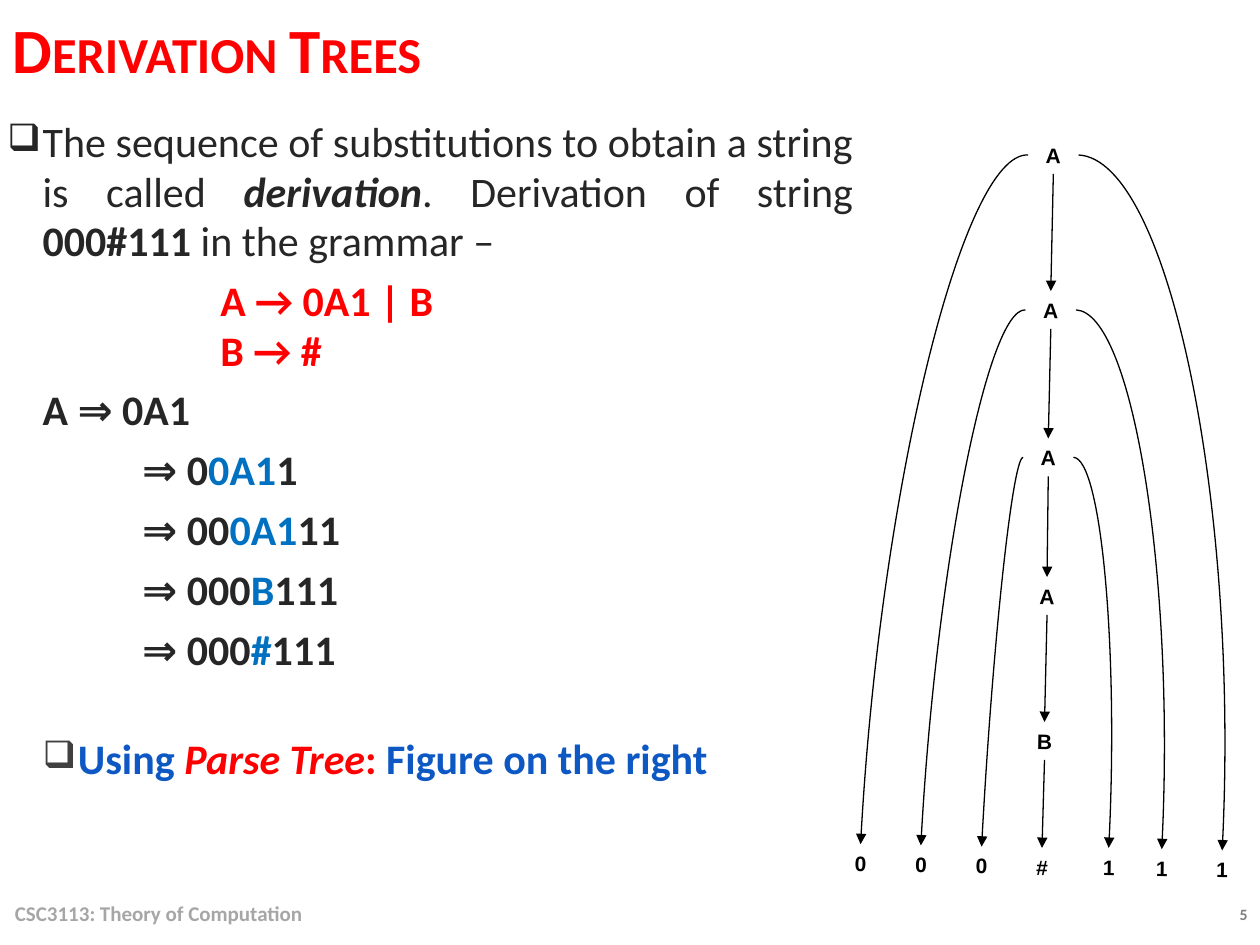
from dataclasses import dataclass
from math import cos, radians, sin

from lxml import etree
from pptx import Presentation
from pptx.dml.color import RGBColor
from pptx.enum.shapes import MSO_CONNECTOR
from pptx.enum.text import MSO_ANCHOR, PP_ALIGN
from pptx.oxml.ns import qn
from pptx.util import Emu, Inches, Pt

LEFT, RIGHT, CENTER, JUSTIFY = (
    PP_ALIGN.LEFT, PP_ALIGN.RIGHT, PP_ALIGN.CENTER, PP_ALIGN.JUSTIFY)
TOP, MIDDLE = MSO_ANCHOR.TOP, MSO_ANCHOR.MIDDLE
STRAIGHT, CURVE = MSO_CONNECTOR.STRAIGHT, MSO_CONNECTOR.CURVE


@dataclass(frozen=True)
class Theme:
    sans: str = "Calibri"
    label: str = "Arial"
    title: float = 36
    body: float = 24
    small: float = 12
    page: float = 9
    ink: str = "262626"
    red: str = "FF0000"
    blue: str = "0070C0"
    royal: str = "0E58C4"
    black: str = "000000"
    grey: str = "A6A6A6"
    dim: str = "808080"
    mark: str = "404040"


@dataclass(frozen=True)
class Span:
    text: str
    color: str = Theme.ink
    bold: bool = True
    italic: bool = False


@dataclass(frozen=True)
class Para:
    spans: tuple[Span, ...]
    indent: float = 0
    before: float = 6
    align: PP_ALIGN = JUSTIFY
    bullet: str = ""


@dataclass(frozen=True)
class Node:
    """A tree label; col and row give its top left corner."""
    text: str
    col: float
    row: float


T = Theme()
COLS, ROWS = 100, 75
NODE_W, NODE_H = 4, 3
HANG = 2.8
TILT, LEAN = 1, 3  # degrees: labels, branches

prs = Presentation()
prs.slide_width, prs.slide_height = Inches(10), Inches(7.5)
slide = prs.slides.add_slide(prs.slide_layouts[6])
shapes = slide.shapes


def across(cols: float) -> Emu:
    return Emu(round(prs.slide_width * cols / COLS))


def down(rows: float) -> Emu:
    return Emu(round(prs.slide_height * rows / ROWS))


def style(run, font: str, size: float, color: str, bold=True, italic=False):
    run.font.name, run.font.size = font, Pt(size)
    run.font.bold, run.font.italic = bold, italic
    run.font.color.rgb = RGBColor.from_string(color)


def box(col: float, row: float, wide: float, high: float, anchor=TOP):
    shape = shapes.add_textbox(across(col), down(row), across(wide), down(high))
    shape.text_frame.word_wrap = True
    shape.text_frame.vertical_anchor = anchor
    return shape


def line(shape, text: str, font: str, size: float, color: str, align=LEFT):
    """Fill a box with one bold line and return its run."""
    para = shape.text_frame.paragraphs[0]
    para.text, para.alignment = text, align
    style(para.runs[0], font, size, color)
    return para.runs[0]


def fill(para, data: Para) -> None:
    para.alignment = data.align
    para.space_before, para.line_spacing = Pt(data.before), 0.98
    props = para._p.get_or_add_pPr()
    props.set("marL", str(across(data.indent)))
    props.set("indent", str(across(-HANG if data.bullet else 0)))
    if data.bullet:
        tint = etree.SubElement(props, qn("a:buClr"))
        etree.SubElement(tint, qn("a:srgbClr"), val=data.bullet)
        etree.SubElement(props, qn("a:buSzPct"), val="90000")
        etree.SubElement(props, qn("a:buChar"), char="❑")
    else:
        etree.SubElement(props, qn("a:buNone"))
    for span in data.spans:
        if span.text == "\v":
            para.add_line_break()
            continue
        run = para.add_run()
        run.text = span.text
        style(run, T.sans, T.body, span.color, span.bold, span.italic)


def label(node: Node):
    shape = box(node.col, node.row, NODE_W, NODE_H, MIDDLE)
    line(shape, node.text, T.label, T.small, T.black, CENTER)
    shape.rotation = TILT
    return shape


def arrow(kind, x1: int, y1: int, x2: int, y2: int):
    link = shapes.add_connector(kind, x1, y1, x2, y2)
    link.line.width = Pt(0.75)
    link.line.color.rgb = RGBColor.from_string(T.black)
    etree.SubElement(link.line._get_or_add_ln(), qn("a:tailEnd"), type="triangle")
    etree.SubElement(link.element.spPr, qn("a:effectLst"))
    return link


def stem(upper, lower) -> None:
    link = arrow(STRAIGHT, 0, 0, 0, 0)
    link.begin_connect(upper, 2)
    link.end_connect(lower, 0)


def branch(top: Node, leaf: Node) -> None:
    """Bend from the side of a node to a leaf, as a box turned by LEAN."""
    side = NODE_W if leaf.col > top.col else 0
    x1, y1 = across(top.col + side), down(top.row + NODE_H / 2)
    x2, y2 = across(leaf.col + NODE_W / 2), down(leaf.row)
    turn = radians(LEAN)
    dx, dy = x2 - x1, y2 - y1
    half_w = (dx * cos(turn) + dy * sin(turn)) / 2
    half_h = (dy * cos(turn) - dx * sin(turn)) / 2
    mid_x, mid_y = (x1 + x2) / 2, (y1 + y2) / 2
    link = arrow(CURVE, round(mid_x - half_w), round(mid_y - half_h),
                 round(mid_x + half_w), round(mid_y + half_h))
    props = link.element.spPr
    props.find(qn("a:xfrm")).set("rot", str(LEAN * 60000))
    props.find(qn("a:prstGeom")).set("prst", "curvedConnector2")


def step(left: str, core: str, right: str) -> Para:
    return Para((Span("⇒ " + left), Span(core, T.blue), Span(right)), 10.7)


BODY = (
    Para((Span("The sequence of substitutions to obtain a string is called ", bold=False),
          Span("derivation", italic=True),
          Span(". Derivation of string ", bold=False),
          Span("000#111"),
          Span(" in the grammar –", bold=False)), HANG, bullet=T.ink),
    Para((Span("A → 0A1 | B", T.red), Span("\v"), Span("B → #", T.red)),
         16.9, align=LEFT),
    Para((Span("A ⇒ 0A1"),), HANG),
    step("0", "0A1", "1"),
    step("00", "0A1", "11"),
    step("000", "B", "111"),
    step("000", "#", "111"),
    Para((Span("Using ", T.royal), Span("Parse Tree", T.red, italic=True),
          Span(": ", T.red), Span("Figure on the right", T.royal)),
         2 * HANG, before=34, bullet=T.mark),
)
TRUNK = (Node("A", 81.6, 10.8), Node("A", 81.4, 23.1), Node("A", 81.2, 34.8),
         Node("A", 81.1, 45.8), Node("B", 80.9, 57.3), Node("#", 80.7, 67.3))
ZEROS = [Node("0", 66.3 + 4.8 * i, 67 + 0.1 * i) for i in range(3)]
ONES = [Node("1", col, 67.5 - 0.1 * i) for i, col in enumerate((95, 90.2, 86))]

line(box(87.3, 71.3, 12.7, 2.5), "5", T.sans, T.page, T.dim, RIGHT)
line(box(0.2, 70.5, 67, 4, MIDDLE), "CSC3113: Theory of Computation",
     T.sans, T.small, T.grey)
title = line(box(0, 0, 91, 7.6, MIDDLE), "Derivation Trees", T.sans, T.title, T.red)
title.font._element.set("cap", "small")

frame = box(-0.4, 8.9, 69.1, 61.1).text_frame
for i, data in enumerate(BODY):
    fill(frame.add_paragraph() if i else frame.paragraphs[0], data)

trunk = [label(node) for node in TRUNK]
for upper, lower in zip(trunk, trunk[1:]):
    stem(upper, lower)
for top, *leaves in zip(TRUNK, ZEROS, ONES):
    for leaf in leaves:
        label(leaf)
        branch(top, leaf)

prs.save("out.pptx")
